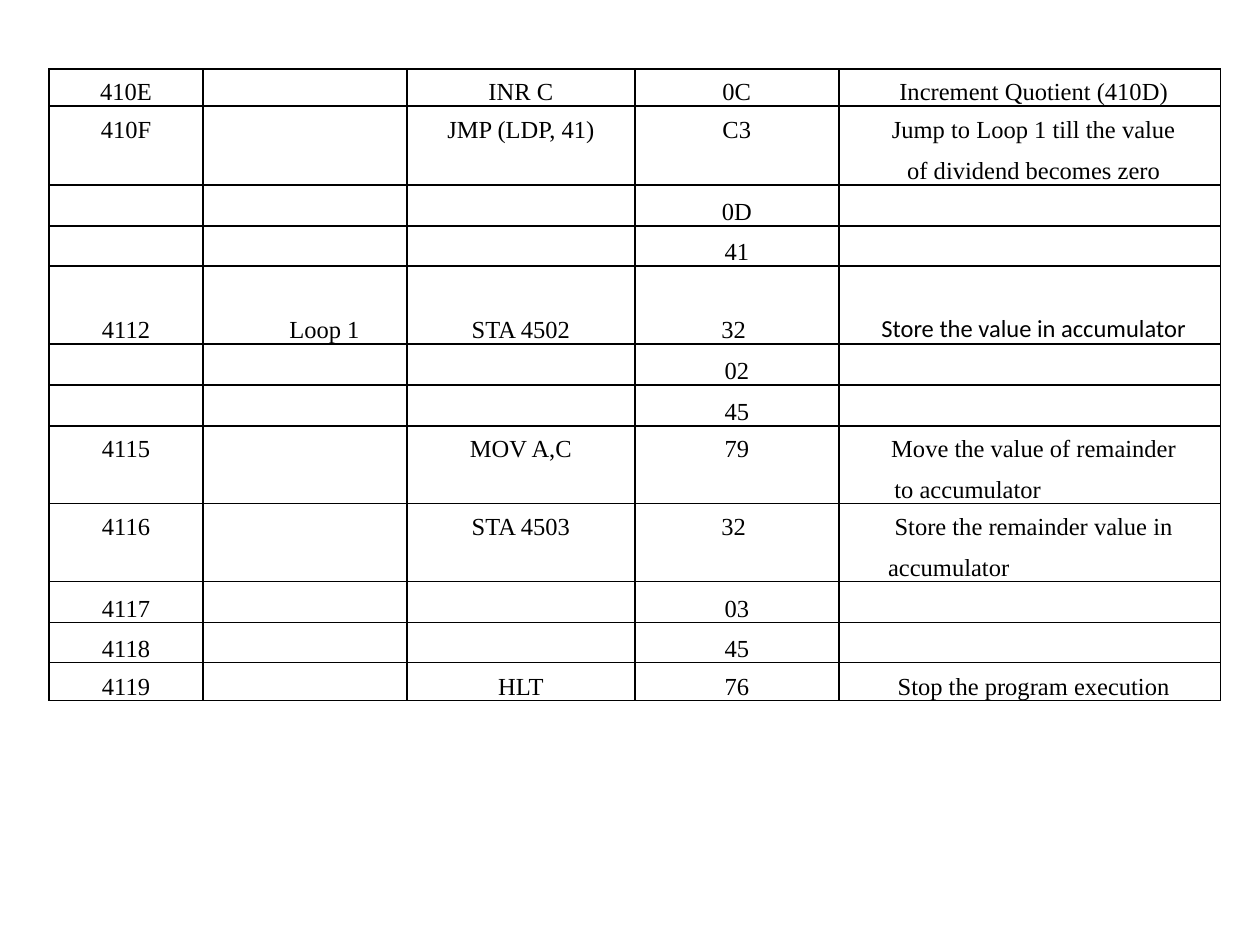
import pptx
import pptx.util
import pptx.dml.color
from pptx.enum.text import MSO_ANCHOR, PP_ALIGN
from pptx.oxml.ns import qn
from lxml import etree

PX = 914400 // 126
THEME = {
    "ink": "000000", "size": 14, "line": 1,
    "serif": "Times New Roman", "sans": "Calibri",
    "tight": pptx.util.Pt(13), "loose": 1.15,
}
LEFT, TOP = 49, 69

# Each field of the listing covers one or more grid columns (widths in px).
FIELDS = [
    ("address", [154]),
    ("label", [108, 50, 18, 28]),
    ("code", [205, 23]),
    ("hex", [204]),
    ("comment", [212, 104, 66]),
]
INDENT = {"label": 39, "comment": 8}

# height, line spacing, then one text per field
ROWS = [
    (37, "tight", "410E", "", "INR C", "0C", "Increment Quotient (410D)"),
    (38, "tight", "410F", "", "JMP (LDP, 41)", "C3", "Jump to Loop 1 till the value"),
    (41, "loose", "", "", "", "", "of dividend becomes zero"),
    (41, "loose", "", "", "", "0D", ""),
    (40, "loose", "", "", "", "41", ""),
    (78, "tight", "4112", "Loop 1", "STA 4502", "32 ", "Store the value in accumulator"),
    (41, "loose", "", "", "", "02", ""),
    (41, "loose", "", "", "", "45", ""),
    (37, "tight", "4115", "", "MOV A,C", "79", "Move the value of remainder"),
    (41, "loose", "", "", "", "", "to accumulator"),
    (37, "tight", "4116", "", "STA 4503", "32 ", "Store the remainder value in"),
    (41, "loose", "", "", "", "", "accumulator"),
    (41, "loose", "4117", "", "", "03", ""),
    (40, "loose", "4118", "", "", "45", ""),
    (38, "tight", "4119", "", "HLT", "76", "Stop the program execution"),
]
JOINED = {2, 9, 11}                 # rows that carry on the row above
SPLIT = {6, 7, 9, 11, 12, 13}       # rows whose comment cells stay apart
MERGED = {3, 4}                     # rows whose empty comment is one cell
SANS = {5}                          # rows whose comment is in the sans face
EXTRA = {9: 38}                     # further comment indent, px

CELL = {
    "margin_left": 0, "margin_right": 0, "margin_top": 0, "margin_bottom": 0,
    "vertical_anchor": MSO_ANCHOR.BOTTOM,
}


def apply(item, values):
    for key, value in values.items():
        setattr(item, key, value)


def edge(cell, sides):
    """Rule the named sides (letters of LRTB) and clear the others."""
    props = cell._tc.get_or_add_tcPr()
    for side in "LRTB":
        line = etree.SubElement(props, qn("a:ln" + side),
                                w=str(pptx.util.Pt(THEME["line"])))
        if side in sides:
            fill = etree.SubElement(line, qn("a:solidFill"))
            etree.SubElement(fill, qn("a:srgbClr"), val=THEME["ink"])
        else:
            etree.SubElement(line, qn("a:noFill"))
    cell.fill.background()


def write(cell, text, face, space, indent):
    para = cell.text_frame.paragraphs[0]
    if not text:
        etree.SubElement(para._p, qn("a:endParaRPr"),
                         sz=str(THEME["size"] * 100))
        return
    apply(para, {"alignment": PP_ALIGN.CENTER, "line_spacing": THEME[space]})
    para._p.get_or_add_pPr().set("marL", str(indent * PX))
    run = para.add_run()
    run.text = text
    apply(run.font, {"name": THEME[face], "size": pptx.util.Pt(THEME["size"])})
    run.font.color.rgb = pptx.dml.color.RGBColor.from_string(THEME["ink"])


def fill_row(table, row):
    _, space, *texts = ROWS[row]
    col = 0
    for (name, widths), text in zip(FIELDS, texts):
        last = col + len(widths) - 1
        note = name == "comment"
        merge = row not in SPLIT and (text or row in MERGED) if note else text
        if merge and last > col:
            table.cell(row, col).merge(table.cell(row, last))
        for pos in range(col, last + 1):
            cell = table.cell(row, pos)
            sides = "L" if pos == col else ""
            sides += "R" if pos == last or (merge and pos == col) else ""
            sides += "" if row in JOINED else "T"
            sides += "" if row + 1 in JOINED else "B"
            apply(cell, CELL)
            edge(cell, sides)
            indent = INDENT.get(name, 0) + (EXTRA.get(row, 0) if note else 0)
            face = "sans" if note and row in SANS else "serif"
            write(cell, text if pos == col else "", face, space, indent)
        col = last + 1


def main():
    deck = pptx.Presentation()
    apply(deck, {"slide_width": 1260 * PX, "slide_height": 945 * PX})
    slide = deck.slides.add_slide(deck.slide_layouts[6])
    widths = [width for _, group in FIELDS for width in group]
    heights = [row[0] for row in ROWS]
    table = slide.shapes.add_table(
        len(heights), len(widths), LEFT * PX, TOP * PX,
        sum(widths) * PX, sum(heights) * PX).table
    apply(table, {"first_row": False, "horz_banding": False})
    for col, width in zip(table.columns, widths):
        col.width = width * PX
    for row, height in enumerate(heights):
        table.rows[row].height = height * PX
        fill_row(table, row)
    deck.save("out.pptx")


if __name__ == "__main__":
    main()
